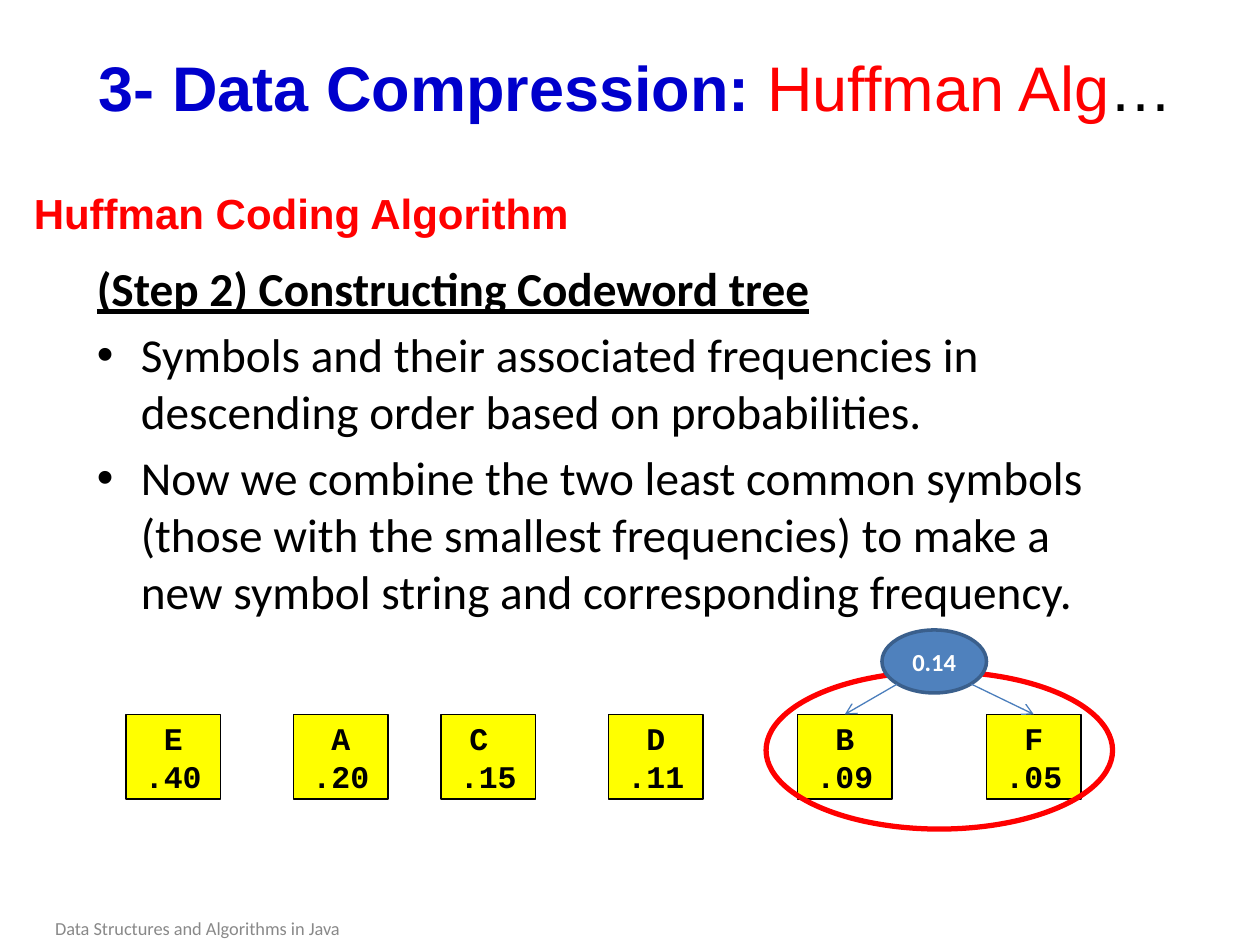
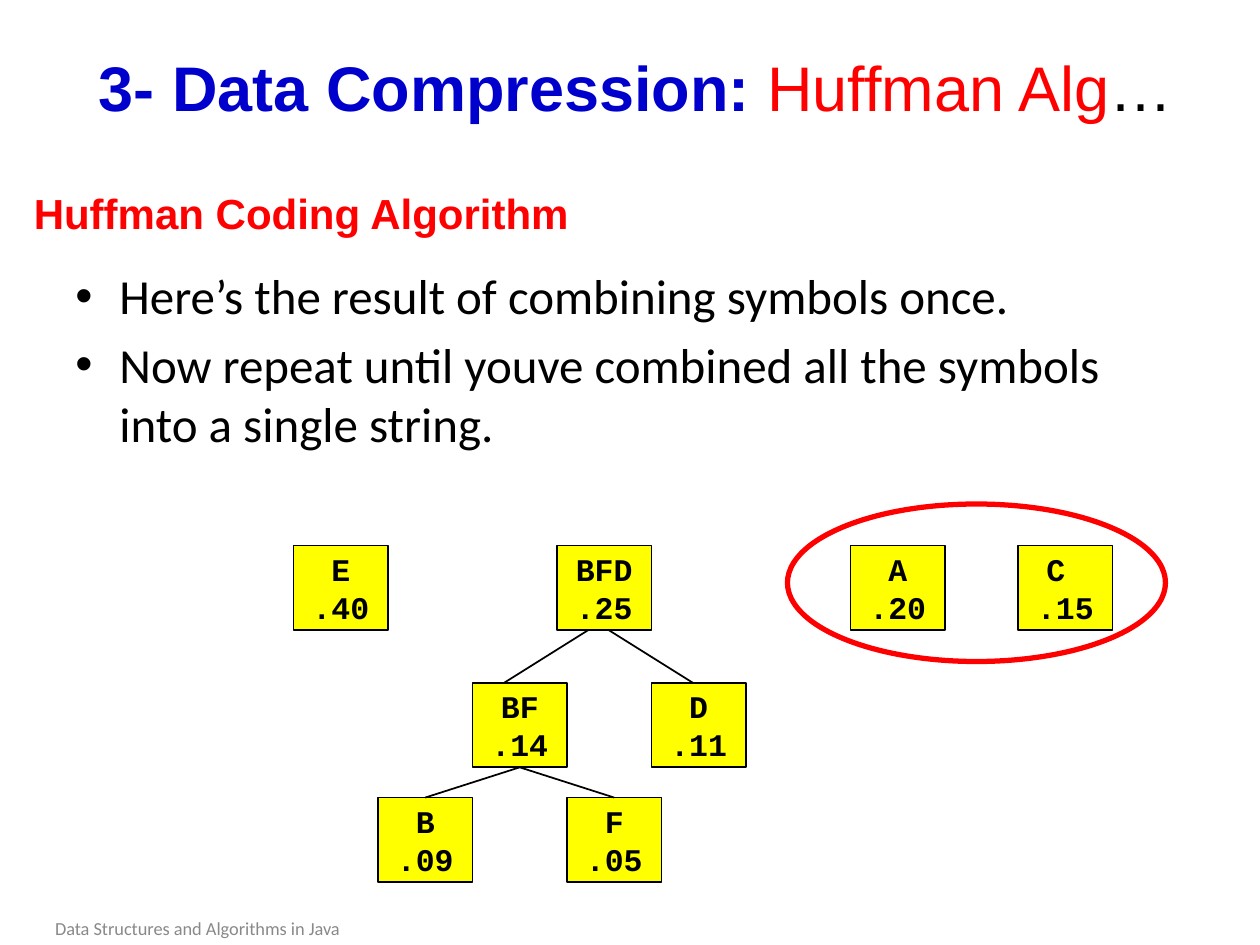
from dataclasses import dataclass

from lxml import etree
from pptx import Presentation
from pptx.dml.color import RGBColor
from pptx.enum import shapes as sh, text as tx
from pptx.oxml.ns import qn
from pptx.util import Inches, Pt


@dataclass(frozen=True)
class Theme:
    # Colours
    blue: str = "0000CC"
    red: str = "FF0000"
    black: str = "000000"
    yellow: str = "FFFF00"
    gray: str = "898989"
    white: str = "FFFFFF"
    sum_fill: str = "4F81BD"
    sum_line: str = "3A5F8C"
    arrow: str = "4B7EBC"
    # Fonts
    head: str = "Arial"
    body: str = "Calibri"
    code: str = "Courier New"
    # Type sizes
    title_size: float = 36
    sub_size: float = 24
    node_size: float = 18
    sum_size: float = 14
    foot_size: float = 10.5


T = Theme()
FREQ = {"E": ".40", "A": ".20", "C ": ".15", "D": ".11", "B": ".09", "F": ".05",
        "BF": ".14", "BFD": ".25"}
NODE_W, NODE_H = 0.75, 0.67
CENTER = tx.PP_ALIGN.CENTER
MIDDLE = tx.MSO_ANCHOR.MIDDLE


def rgb(color):
    return RGBColor.from_string(color)


def style(font, face, size, color, bold=False):
    font.name, font.size, font.bold = face, Pt(size), bold
    font.color.rgb = rgb(color)


def add_text(slide, box, words, look, align=None, anchor=tx.MSO_ANCHOR.TOP):
    frame = slide.shapes.add_textbox(*map(Inches, box)).text_frame
    frame.word_wrap = True
    frame.vertical_anchor = anchor
    frame.text = words
    para = frame.paragraphs[0]
    para.alignment = align
    style(para.runs[0].font, *look)


def add_title(slide):
    title = slide.shapes.title
    title.left, title.top, title.width, title.height = map(
        Inches, (0.42, 0.33, 9.25, 0.71))
    frame = title.text_frame
    frame.auto_size = tx.MSO_AUTO_SIZE.NONE
    frame.vertical_anchor = MIDDLE
    para = frame.paragraphs[0]
    para.alignment = CENTER
    for words, color, bold in (("3- Data Compression: ", T.blue, True),
                               ("Huffman Alg", T.red, False),
                               ("…", T.black, False)):
        run = para.add_run()
        run.text = words
        style(run.font, T.head, T.title_size, color, bold)


def add_page(deck):
    """Add a slide with the shared title, subtitle and footer."""
    slide = deck.slides.add_slide(deck.slide_layouts[5])
    add_title(slide)
    add_text(slide, (0.17, 1.44, 4.67, 0.5), "Huffman Coding Algorithm",
             (T.head, T.sub_size, T.red, True))
    add_text(slide, (0, 7.23, 3.17, 0.27), "Data Structures and Algorithms in Java ",
             (T.body, T.foot_size, T.gray), CENTER, MIDDLE)
    return slide


def add_body(slide, box, size, points, lead=None):
    """Add bulleted points, after an underlined lead line if there is one."""
    frame = slide.shapes.add_textbox(*map(Inches, box)).text_frame
    frame.word_wrap = True
    frame.text = "\n".join(([lead] if lead else []) + points)
    for i, para in enumerate(frame.paragraphs):
        is_lead = bool(lead) and i == 0
        props = para._p.get_or_add_pPr()
        props.set("marL", str(Inches(0.35)))
        props.set("indent", str(-Inches(0.35)))
        if i:
            para.space_before = Pt(size * 0.2)
        if not is_lead:
            etree.SubElement(props, qn("a:buFont"), typeface="Arial")
            etree.SubElement(props, qn("a:buChar"), char="•")
        font = para.runs[0].font
        style(font, T.body, size, T.black, is_lead)
        font.underline = is_lead


def add_shape(slide, kind, box, fill, line, width):
    shape = slide.shapes.add_shape(kind, *map(Inches, box))
    shape.shadow.inherit = False
    if fill:
        shape.fill.solid()
        shape.fill.fore_color.rgb = rgb(fill)
    else:
        shape.fill.background()
    shape.line.color.rgb = rgb(line)
    shape.line.width = Pt(width)
    return shape


def label(shape, words, look):
    frame = shape.text_frame
    frame.word_wrap = False
    frame.vertical_anchor = MIDDLE
    frame.text = words
    for para in frame.paragraphs:
        para.alignment = CENTER
        style(para.runs[0].font, *look)


def add_node(slide, name, left, top):
    node = add_shape(slide, sh.MSO_SHAPE.RECTANGLE, (left, top, NODE_W, NODE_H),
                     T.yellow, T.black, 1)
    label(node, f"{name}\n{FREQ[name]}", (T.code, T.node_size, T.black, True))
    return node


def add_nodes(slide, top, lefts):
    return {name: add_node(slide, name, left, top) for name, left in lefts.items()}


def add_ring(slide, box):
    add_shape(slide, sh.MSO_SHAPE.OVAL, box, None, T.red, 3)


def add_line(slide, start, end, color=T.black, width=1, arrow=False):
    """Join two points; a node as start or end joins at its bottom or top."""
    ends = [(0, 0) if hasattr(p, "shape_id") else p for p in (start, end)]
    line = slide.shapes.add_connector(sh.MSO_CONNECTOR.STRAIGHT,
                                      *(Inches(v) for p in ends for v in p))
    if hasattr(start, "shape_id"):
        line.begin_connect(start, 2)
    if hasattr(end, "shape_id"):
        line.end_connect(end, 0)
    line.line.color.rgb = rgb(color)
    line.line.width = Pt(width)
    if arrow:
        etree.SubElement(line.line._get_or_add_ln(), qn("a:tailEnd"), type="arrow")
    etree.SubElement(line._element.spPr, qn("a:effectLst"))


def build_first(deck):
    slide = add_page(deck)
    add_body(slide, (0.67, 2.01, 8.5, 3.01), 27, [
        "Symbols and their associated frequencies in descending order "
        "based on probabilities.",
        "Now we combine the two least common symbols (those with the smallest "
        "frequencies) to make a new symbol string and corresponding frequency.",
    ], lead="(Step 2) Constructing Codeword tree")

    # Symbols in descending order, the two smallest ringed
    nodes = add_nodes(slide, 5.67, {"E": 1, "A": 2.33, "C ": 3.5, "D": 4.83,
                                    "B": 6.33, "F": 7.83})
    add_ring(slide, (6.08, 5.33, 2.75, 1.25))

    # Sum of the two smallest
    total = add_shape(slide, sh.MSO_SHAPE.OVAL, (7, 5, 0.83, 0.5),
                      T.sum_fill, T.sum_line, 2)
    label(total, "0.14", (T.body, T.sum_size, T.white, True))
    for x, name in ((7.12, "B"), (7.71, "F")):
        add_line(slide, (x, 5.43), nodes[name], T.arrow, 0.75, arrow=True)


def build_second(deck):
    slide = add_page(deck)
    add_body(slide, (0.5, 2.06, 9, 1.61), 28, [
        "Here’s the result of combining symbols once.",
        "Now repeat until youve combined all the symbols into a single string.",
    ])

    # Tree levels
    add_nodes(slide, 4.33, {"E": 2.33, "BFD": 4.42, "A": 6.75, "C ": 8.08})
    pair = add_nodes(slide, 5.42, {"BF": 3.75, "D": 5.17})
    leaves = add_nodes(slide, 6.33, {"B": 3, "F": 4.5})

    # Branches
    for leaf in leaves.values():
        add_line(slide, pair["BF"], leaf)
    add_line(slide, (4.67, 5), (4, 5.42))
    add_line(slide, (4.83, 5), (5.5, 5.42))

    # Next pair to combine
    add_ring(slide, (6.25, 4, 3, 1.25))


def main():
    deck = Presentation()
    deck.slide_width, deck.slide_height = Inches(10), Inches(7.5)
    build_first(deck)
    build_second(deck)
    deck.save("out.pptx")


if __name__ == "__main__":
    main()
